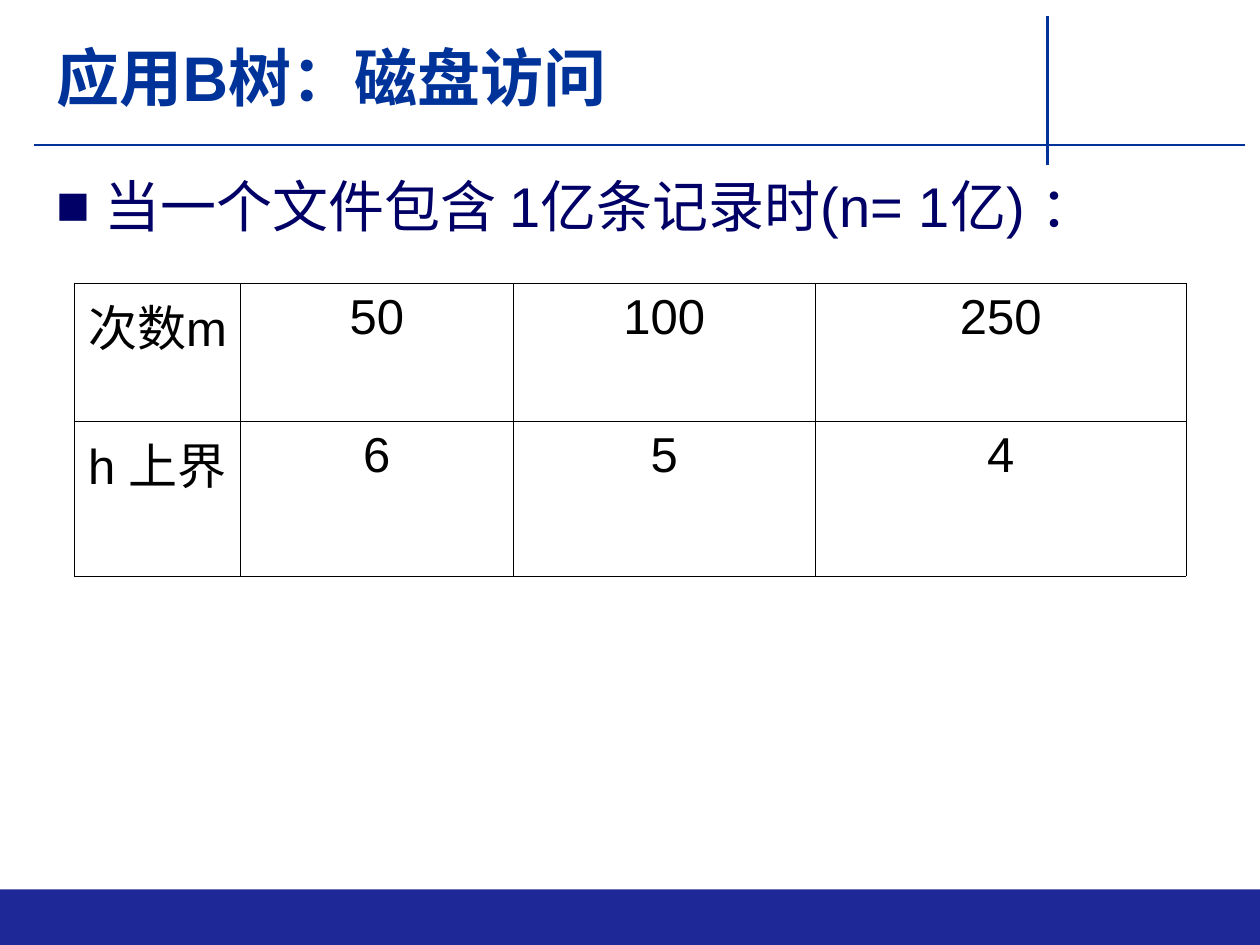
"""Build the slide on disk accesses of a B-tree."""
from lxml import etree
from pptx import Presentation
from pptx.dml.color import RGBColor
from pptx.enum import shapes, text
from pptx.oxml import ns
from pptx.util import Cm, Pt

THEME = {
    "font": "Arial",
    "heading": {"size": Pt(36), "bold": True, "color": "003399"},
    "list": {"size": Pt(32), "bold": False, "color": "000066"},
    "cell": {"size": Pt(28), "bold": False, "color": "000000"},
    "rule": "003399",
    "band": "1E2896",
    "border": "000000",
}


def add_element(parent, tag, **attributes):
    return etree.SubElement(parent, ns.qn(tag), attributes)


def write(frame, words, style, align):
    para = frame.paragraphs[0]
    para.alignment = align
    span = para.add_run()
    span.text = words
    values = {"name": THEME["font"], "size": style["size"], "bold": style["bold"]}
    for name, value in values.items():
        setattr(span.font, name, value)
    span.font.color.rgb = RGBColor.from_string(style["color"])
    return para


deck = Presentation()
deck.slide_width, deck.slide_height = Cm(25.4), Cm(19.05)
page = deck.slides.add_slide(deck.slide_layouts[1])

band = page.shapes.add_shape(
    shapes.MSO_SHAPE.RECTANGLE, 0, Cm(17.93), deck.slide_width, Cm(1.12))
band.shadow.inherit = False
band.fill.solid()
band.fill.fore_color.rgb = RGBColor.from_string(THEME["band"])
band.line.fill.background()

for ends in ((0.69, 2.92, 25.1, 2.92), (21.11, 0.33, 21.11, 3.33)):
    rule = page.shapes.add_connector(
        shapes.MSO_CONNECTOR.STRAIGHT, *[Cm(end) for end in ends])
    rule.line.color.rgb = RGBColor.from_string(THEME["rule"])
    rule.line.width = Pt(1.5)
    add_element(rule._element.spPr, "a:effectLst")

blocks = (
    (page.shapes.title, "应用B树：磁盘访问", THEME["heading"],
     text.MSO_ANCHOR.MIDDLE, (0.89, 0.53, 19.79, 2.01)),
    (page.placeholders[1], "当一个文件包含 1亿条记录时(n= 1亿) ：", THEME["list"],
     text.MSO_ANCHOR.TOP, (0.89, 3.33, 24, 14.4)),
)
for box, words, style, anchor, place in blocks:
    for name, value in zip(("left", "top", "width", "height"), place):
        setattr(box, name, Cm(value))
    frame = box.text_frame
    layout = {"auto_size": text.MSO_AUTO_SIZE.NONE, "word_wrap": True,
              "vertical_anchor": anchor}
    for name, value in layout.items():
        setattr(frame, name, value)
    para = write(frame, words, style, text.PP_ALIGN.LEFT)
    para.space_before = Pt(0)

para.space_after = Pt(8)
bullet = para._p.get_or_add_pPr()
bullet.set("marL", str(Cm(0.96)))
bullet.set("indent", str(Cm(-0.96)))
add_element(add_element(bullet, "a:buClr"), "a:srgbClr", val=THEME["list"]["color"])
add_element(bullet, "a:buFont", typeface=THEME["font"])
add_element(bullet, "a:buChar", char="■")

rows = (("次数m", "50", "100", "250"), ("h 上界", "6", "5", "4"))
widths = (3.35, 5.49, 6.1, 7.47)
table = page.shapes.add_table(
    len(rows), len(widths), Cm(1.5), Cm(5.72), Cm(sum(widths)), Cm(5.24)).table
table.first_row = table.horz_banding = False
for column, width in zip(table.columns, widths):
    column.width = Cm(width)
for row, entries in zip(table.rows, rows):
    row.height = Cm(2.62)
    for cell, words in zip(row.cells, entries):
        write(cell.text_frame, words, THEME["cell"], text.PP_ALIGN.CENTER)
        borders = cell._tc.get_or_add_tcPr()
        for side in ("a:lnL", "a:lnR", "a:lnT", "a:lnB"):
            border = add_element(borders, side, w=str(Pt(0.45)))
            add_element(add_element(border, "a:solidFill"), "a:srgbClr",
                        val=THEME["border"])
        cell.fill.background()

deck.save("out.pptx")
